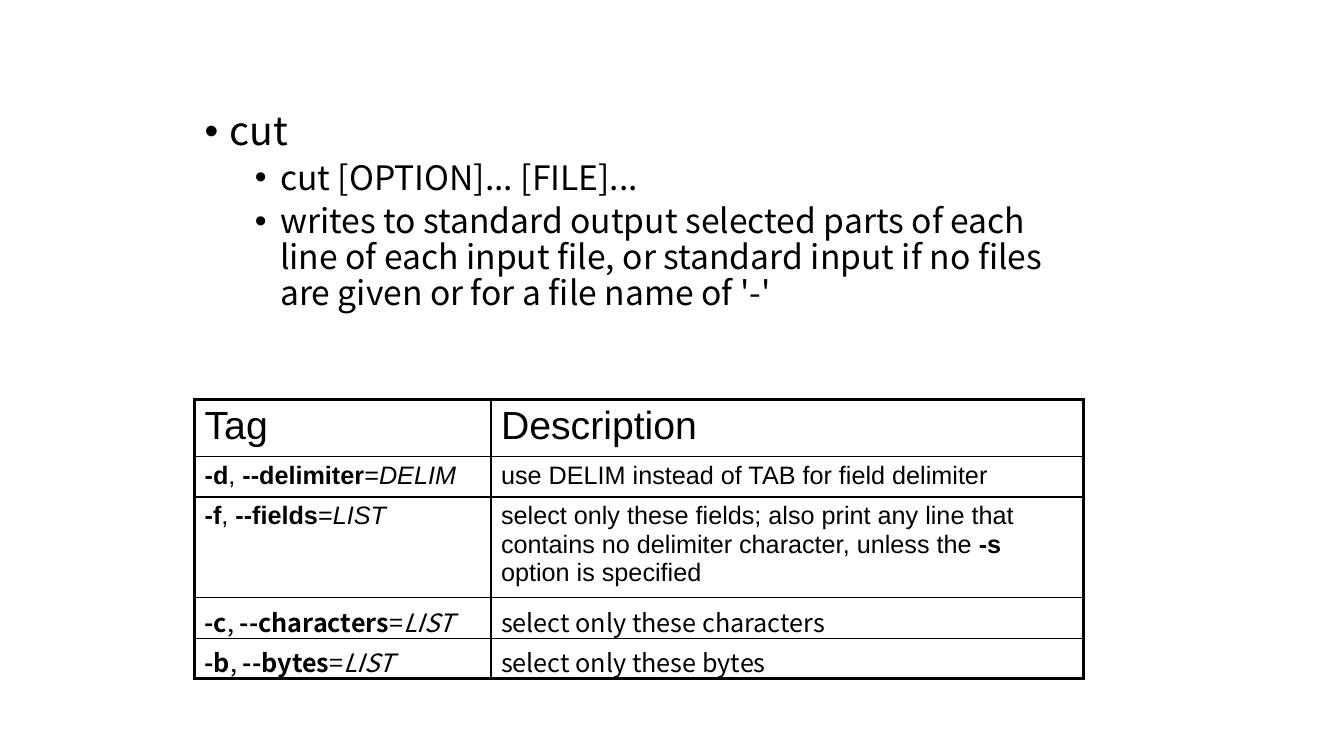
from lxml import etree
from pptx import Presentation
from pptx.dml.color import RGBColor
from pptx.oxml.ns import qn
from pptx.util import Inches, Pt

BLACK = RGBColor(0x00, 0x00, 0x00)
WHITE = RGBColor(0xFF, 0xFF, 0xFF)
ARIAL = "Arial"
NOTO = "Noto Sans CJK SC"
OUTER, INNER = 2.25, 1
COLUMN_WIDTHS = (2.94, 5.88)
ROW_HEIGHTS = (0.57, 0.4, 1, 0.4, 0.4)

OUTLINE = [
    (0, "cut"),
    (1, "cut [OPTION]... [FILE]..."),
    (1, "writes to standard output selected parts of each line of each input file, "
        "or standard input if no files are given or for a file name of '-'"),
]
OPTIONS = [
    ("-d", "--delimiter", "DELIM", ARIAL,
     [("use DELIM instead of TAB for field delimiter", "")]),
    ("-f", "--fields", "LIST", ARIAL,
     [("select only these fields; also print any line that contains no delimiter "
       "character, unless the ", ""), ("-s", "bold"), (" option is specified", "")]),
    ("-c", "--characters", "LIST", NOTO, [("select only these characters", "")]),
    ("-b", "--bytes", "LIST", NOTO, [("select only these bytes", "")]),
]


def add_span(para, text, font_name, size, style=""):
    """Add one run, plain, bold or italic."""
    span = para.add_run()
    span.text = text
    span.font.name = font_name
    span.font.size = Pt(size)
    span.font.color.rgb = BLACK
    span.font.bold = style == "bold"
    span.font.italic = style == "italic"


def add_bullet(para, level):
    """Give a paragraph a hanging bullet for its level."""
    properties = para._p.get_or_add_pPr()
    properties.set("marL", str(Inches(0.25 + 0.5 * level)))
    properties.set("indent", str(Inches(-0.25)))
    etree.SubElement(properties, qn("a:buFont")).set("typeface", ARIAL)
    etree.SubElement(properties, qn("a:buChar")).set("char", "•")


def add_outline(page, left, top, width, height):
    """Place the bulleted summary of the command."""
    box = page.shapes.add_textbox(Inches(left), Inches(top), Inches(width), Inches(height))
    frame = box.text_frame
    frame.word_wrap = True
    for index, (level, text) in enumerate(OUTLINE):
        para = frame.add_paragraph() if index else frame.paragraphs[0]
        add_bullet(para, level)
        para.level = level
        para.line_spacing = 0.9
        para.space_before = Pt(5 if index else 0)
        add_span(para, text, NOTO, 24 if level else 28)


def set_borders(cell, widths):
    """Draw the left, right, top and bottom borders of a cell."""
    properties = cell._tc.get_or_add_tcPr()
    for position, (side, width) in enumerate(zip("LRTB", widths)):
        line = etree.Element(qn(f"a:ln{side}"), w=str(Pt(width)))
        fill = etree.SubElement(line, qn("a:solidFill"))
        etree.SubElement(fill, qn("a:srgbClr")).set("val", str(BLACK))
        properties.insert(position, line)


def fill_cell(cell, spans, font_name, size):
    """Write styled runs into a cell without a fill."""
    cell.fill.background()
    para = cell.text_frame.paragraphs[0]
    for text, style in spans:
        add_span(para, text, font_name, size, style)


def add_options_table(page, left, top, width, height):
    """Place the table of command options."""
    rows, columns = len(ROW_HEIGHTS), len(COLUMN_WIDTHS)
    table = page.shapes.add_table(rows, columns, Inches(left), Inches(top),
                                  Inches(width), Inches(height)).table
    table.first_row = False
    table.horz_banding = False
    for column, column_width in zip(table.columns, COLUMN_WIDTHS):
        column.width = Inches(column_width)
    for row, row_height in zip(table.rows, ROW_HEIGHTS):
        row.height = Inches(row_height)

    for column, heading in enumerate(("Tag", "Description")):
        fill_cell(table.cell(0, column), [(heading, "")], ARIAL, 28)
    for row, (short, long, value, font_name, description) in enumerate(OPTIONS, 1):
        tag = [(short, "bold"), (", ", ""), (long, "bold"), ("=", ""), (value, "italic")]
        fill_cell(table.cell(row, 0), tag, font_name, 18)
        fill_cell(table.cell(row, 1), description, font_name, 18)

    for row in range(rows):
        for column in range(columns):
            edges = (column == 0, column == columns - 1, row == 0, row == rows - 1)
            set_borders(table.cell(row, column),
                        [OUTER if edge else INNER for edge in edges])


def main():
    """Build the slide and save the deck."""
    deck = Presentation()
    deck.slide_width = Inches(13.33)
    deck.slide_height = Inches(7.5)
    page = deck.slides.add_slide(deck.slide_layouts[6])
    page.background.fill.solid()
    page.background.fill.fore_color.rgb = WHITE
    add_outline(page, 1.93, 1.06, 8.75, 2.6)
    add_options_table(page, 1.93, 3.96, sum(COLUMN_WIDTHS), sum(ROW_HEIGHTS))
    deck.save("out.pptx")


if __name__ == "__main__":
    main()
